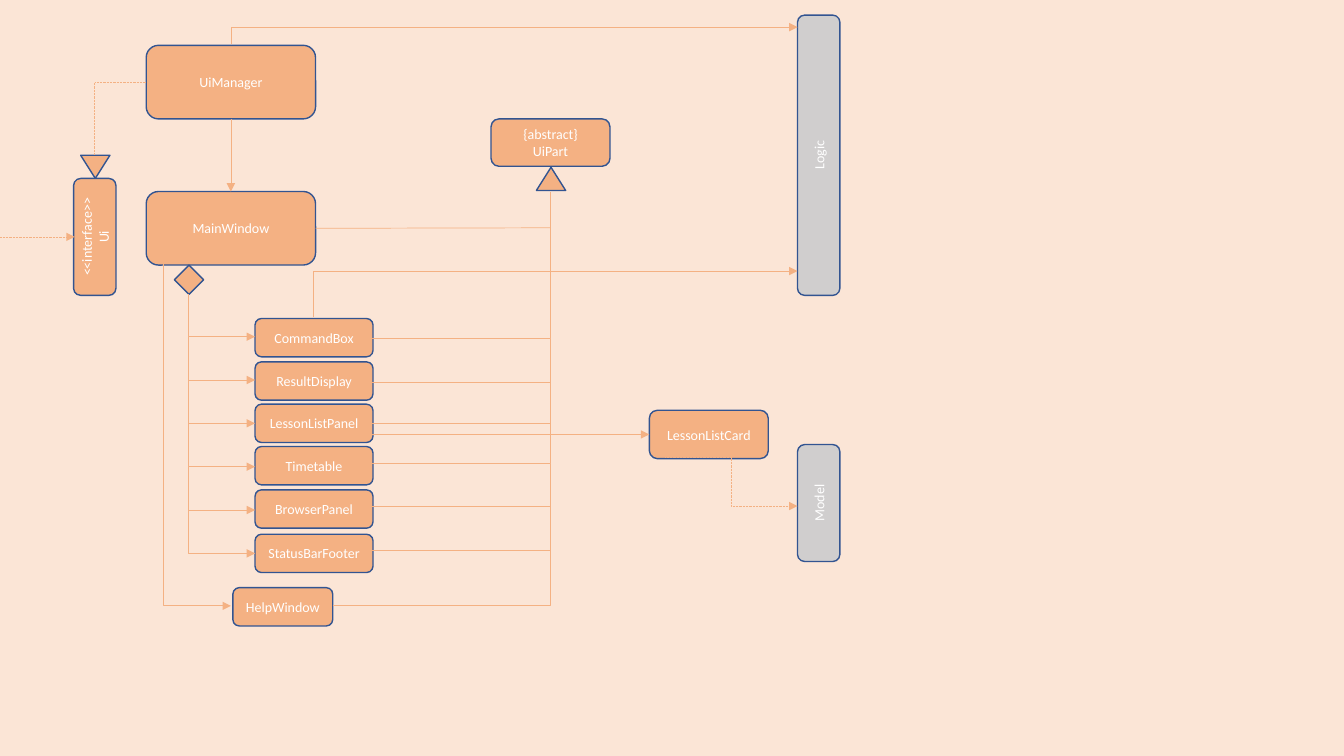
from pptx import Presentation
from pptx.dml.color import RGBColor
from pptx.enum.dml import MSO_LINE_DASH_STYLE as DASH
from pptx.enum.shapes import MSO_CONNECTOR as CONN, MSO_SHAPE as SHAPE
from pptx.enum.text import MSO_ANCHOR, PP_ALIGN
from pptx.oxml.ns import qn
from pptx.util import Pt
from lxml.etree import SubElement

PX = 9144  # 100 px to the inch
PEACH = RGBColor(0xFB, 0xE5, 0xD6)
ORANGE = RGBColor(0xF4, 0xB1, 0x83)
NAVY = RGBColor(0x32, 0x54, 0x91)
GREY = RGBColor(0xD0, 0xCE, 0xCE)
WHITE = RGBColor(0xFF, 0xFF, 0xFF)


class Diagram:
    """Class diagram on one slide, with lengths in px."""
    font = "Calibri"
    size = Pt(10)

    def __init__(self, slide):
        self.s = slide
        fill = slide.background.fill
        fill.solid()
        fill.fore_color.rgb = PEACH

    def shape(self, kind, x, y, w, h, fill=ORANGE, rotation=0):
        sp = self.s.shapes.add_shape(kind, x * PX, y * PX, w * PX, h * PX)
        sp.shadow.inherit = False
        sp.rotation = rotation
        sp.fill.solid()
        sp.fill.fore_color.rgb = fill
        sp.line.color.rgb = NAVY
        sp.line.width = Pt(1)
        return sp

    def node(self, lines, x, y, w, h, fill=ORANGE, rotation=0):
        """Rounded box with one centred paragraph per line."""
        sp = self.shape(SHAPE.ROUNDED_RECTANGLE, x, y, w, h, fill, rotation)
        tf = sp.text_frame
        tf.word_wrap = True
        tf.vertical_anchor = MSO_ANCHOR.MIDDLE
        for i, line in enumerate(lines):
            p = tf.add_paragraph() if i else tf.paragraphs[0]
            p.alignment = PP_ALIGN.CENTER
            r = p.add_run()
            r.text = line
            r.font.name = self.font
            r.font.size = self.size
            r.font.color.rgb = WHITE
        return sp

    def link(self, x1, y1, x2, y2, kind=CONN.STRAIGHT, arrow=False, dotted=False):
        c = self.s.shapes.add_connector(
            kind, int(x1 * PX), int(y1 * PX), int(x2 * PX), int(y2 * PX))
        c.line.color.rgb = ORANGE
        c.line.width = Pt(0.5)
        if dotted:
            c.line.dash_style = DASH.ROUND_DOT
        if arrow:
            SubElement(c.line._get_or_add_ln(), qn("a:tailEnd"), type="triangle")
        SubElement(c._element.spPr, qn("a:effectLst"))
        return c

    def corner(self, x1, y1, x2, y2, down_first=False, **style):
        """Link with one right-angle turn, horizontal first by default."""
        if down_first:
            # A quarter turn about the centre makes the first leg vertical.
            cx, cy = (x1 + x2) / 2, (y1 + y2) / 2
            dx, dy = (x2 - x1) / 2, (y2 - y1) / 2
            x1, y1, x2, y2 = cx - dy, cy + dx, cx + dy, cy - dx
        c = self.link(x1, y1, x2, y2, CONN.ELBOW, **style)
        spPr = c._element.spPr
        spPr.find(qn("a:prstGeom")).set("prst", "bentConnector2")
        if down_first:
            spPr.find(qn("a:xfrm")).set("rot", "5400000")
        return c


def main():
    prs = Presentation()
    prs.slide_width, prs.slide_height = 1333 * PX, 750 * PX
    d = Diagram(prs.slides.add_slide(prs.slide_layouts[6]))

    ui_manager = d.node(["UiManager"], 145, 45, 168, 73)
    main_window = d.node(["MainWindow"], 145, 190, 168, 73)
    d.shape(SHAPE.DIAMOND, 173, 263, 29, 29)
    d.shape(SHAPE.ISOSCELES_TRIANGLE, 80, 154, 29, 23, rotation=180)
    d.node(["<<interface>>", "Ui"], 36, 214, 116, 42, rotation=270)
    d.node(["HelpWindow"], 231, 583, 99, 38)
    d.shape(SHAPE.ISOSCELES_TRIANGLE, 532, 166, 29, 23)
    d.node(["{abstract}", "UiPart"], 487, 118, 118, 47)
    card = d.node(["LessonListCard"], 644, 407, 118, 48)
    d.node(["Model"], 754, 478, 116, 42, GREY, 270)
    d.node(["Logic"], 673, 133, 278, 42, GREY, 270)

    # Parts of the main window: name, top of box, height of inheritance link
    parts = [("CommandBox", 316, 336), ("ResultDisplay", 359, 379),
             ("LessonListPanel", 401, 420), ("Timetable", 443, 460),
             ("BrowserPanel", 486, 502), ("StatusBarFooter", 530, 546)]
    trunk_x, ui_part_x = 187, 546
    owner_y, parent_y = 292, 191
    for i, (name, top, exit_y) in enumerate(parts):
        entry_y = 334 + 43 * i
        d.node([name], 253, top, 117, 38)
        d.corner(trunk_x, owner_y, 253, entry_y, down_first=True, arrow=True)
        d.corner(369, exit_y, ui_part_x, parent_y)
        owner_y, parent_y = entry_y, exit_y
    d.corner(330, 601, ui_part_x, parent_y)
    d.corner(162, 262, 229, 601, down_first=True, arrow=True)

    c = d.link(229, 118, 229, 190, arrow=True)
    c.begin_connect(ui_manager, 2)
    c.end_connect(main_window, 0)
    c = d.link(313, 226, ui_part_x, 226)
    c.begin_connect(main_window, 3)
    c = d.link(369, 431, 644, 431, arrow=True)
    c.end_connect(card, 1)

    d.corner(145, 82, 94, 154, dotted=True)
    d.corner(311, 315, 791, 269, down_first=True, arrow=True)
    d.corner(229, 44, 791, 27, down_first=True, arrow=True)
    d.link(660, 454, 791, 502, CONN.ELBOW, arrow=True, dotted=True)
    d.link(0, 235, 74, 235, arrow=True, dotted=True)

    prs.save("out.pptx")


if __name__ == "__main__":
    main()
